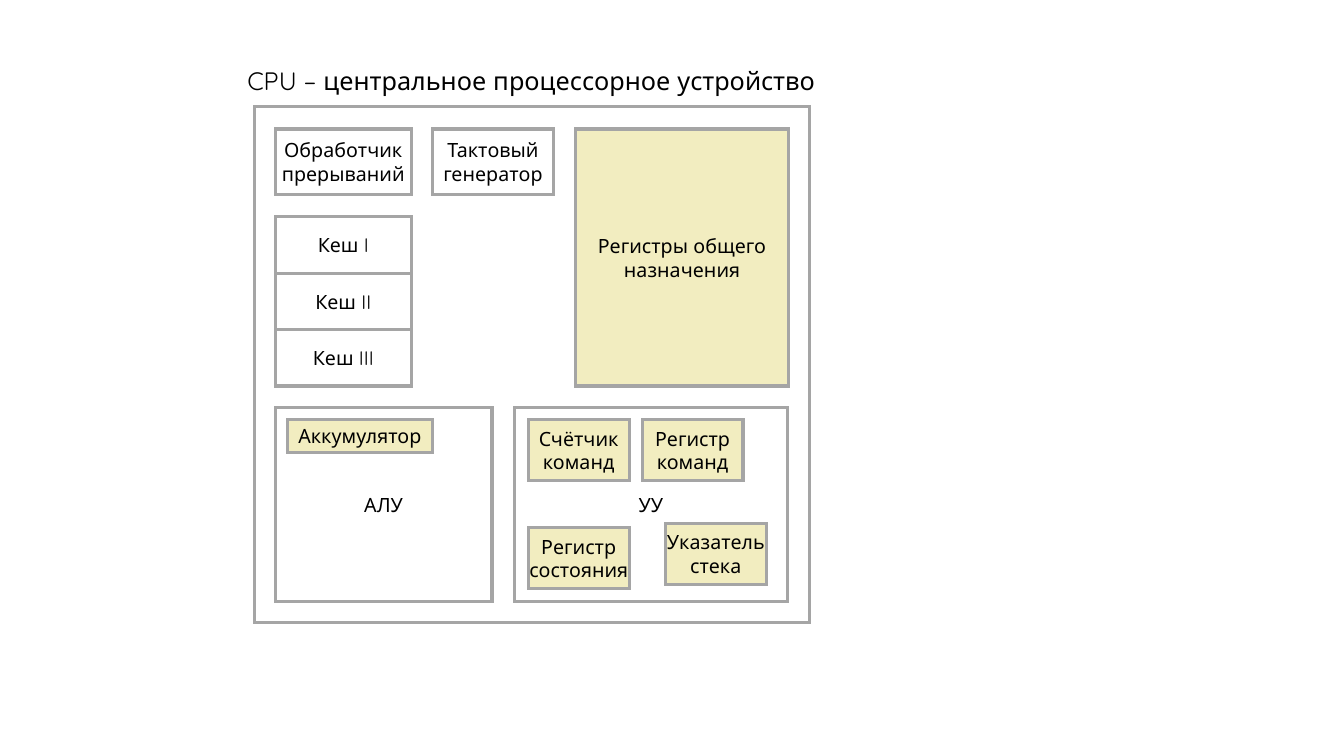
from lxml import etree
from pptx import Presentation
from pptx import util as u
from pptx.dml.color import RGBColor
from pptx.enum import shapes, text
from pptx.oxml.ns import qn

PX = 9144  # EMU per px, 100 px to the inch
COLORS = {"line": "A5A5A5", "register": "F2EDC0", "text": "000000"}
FONT = "Quicksand"


def color(name):
    return RGBColor.from_string(COLORS[name])


def write(sp, label, size):
    tf = sp.text_frame
    tf.word_wrap = True
    tf.margin_left = tf.margin_right = tf.margin_top = tf.margin_bottom = 0
    tf.vertical_anchor = text.MSO_ANCHOR.MIDDLE
    p = tf.paragraphs[0]
    p.text = label
    p.alignment = text.PP_ALIGN.CENTER
    p.font.name = FONT
    p.font.size = u.Pt(size)
    p.font.color.rgb = color("text")


def add_block(parent, x, y, w, h, label="", fill=None):
    sp = parent.add_shape(shapes.MSO_SHAPE.RECTANGLE, x * PX, y * PX, w * PX, h * PX)
    sp.shadow.inherit = False
    if fill:
        sp.fill.solid()
        sp.fill.fore_color.rgb = color(fill)
    else:
        sp.fill.background()
    sp.line.color.rgb = color("line")
    sp.line.width = u.Pt(2.25)
    # Sharp outline corners
    ln = sp._element.spPr.find(qn("a:ln"))
    etree.SubElement(ln, qn("a:miter")).set("lim", "800000")
    if label:
        write(sp, label, 14)


def add_title(parent, x, y, w, h):
    sp = parent.add_textbox(x * PX, y * PX, w * PX, h * PX)
    write(sp, "CPU – центральное процессорное устройство", 18)


def add_cache(parent, x, y, w, h):
    levels = ["Кеш I", "Кеш II", "Кеш III"]
    level_h = h // len(levels)
    group = parent.add_group_shape()
    for i, label in reversed(list(enumerate(levels))):
        add_block(group.shapes, x, y + i * level_h, w, level_h, label)


def add_alu(parent, x, y, w, h):
    add_block(parent, x, y, w, h, "АЛУ")
    add_block(parent, x + 12, y + 12, 144, 33, "Аккумулятор", "register")


def add_control_unit(parent, x, y, w, h):
    add_block(parent, x, y, w, h, "УУ")
    registers = [
        (14, 12, "Счётчик команд"),
        (127, 12, "Регистр команд"),
        (14, 119, "Регистр состояния"),
        (150, 115, "Указатель стека"),
    ]
    # Wide enough to keep the longest word on one line
    for dx, dy, label in registers:
        add_block(parent, x + dx, y + dy, 100, 61, label, "register")


def add_cpu(parent, x, y, w, h):
    add_block(parent, x, y, w, h)
    # Upper part: interrupts, clock, cache, general registers
    add_block(parent, x + 21, y + 22, 135, 65, "Обработчик прерываний")
    add_block(parent, x + 177, y + 22, 120, 65, "Тактовый генератор")
    add_cache(parent, x + 21, y + 109, 135, 168)
    add_block(parent, x + 319, y + 22, 211, 255, "Регистры общего назначения", "register")
    # Lower part: arithmetic and control units
    add_alu(parent, x + 21, y + 298, 215, 193)
    add_control_unit(parent, x + 258, y + 298, 271, 193)


def main():
    prs = Presentation()
    prs.slide_width = 1333 * PX
    prs.slide_height = 750 * PX
    s = prs.slides.add_slide(prs.slide_layouts[6])
    add_title(s.shapes, 228, 62, 598, 36)
    add_cpu(s.shapes, 252, 106, 551, 512)
    prs.save("out.pptx")


if __name__ == "__main__":
    main()
